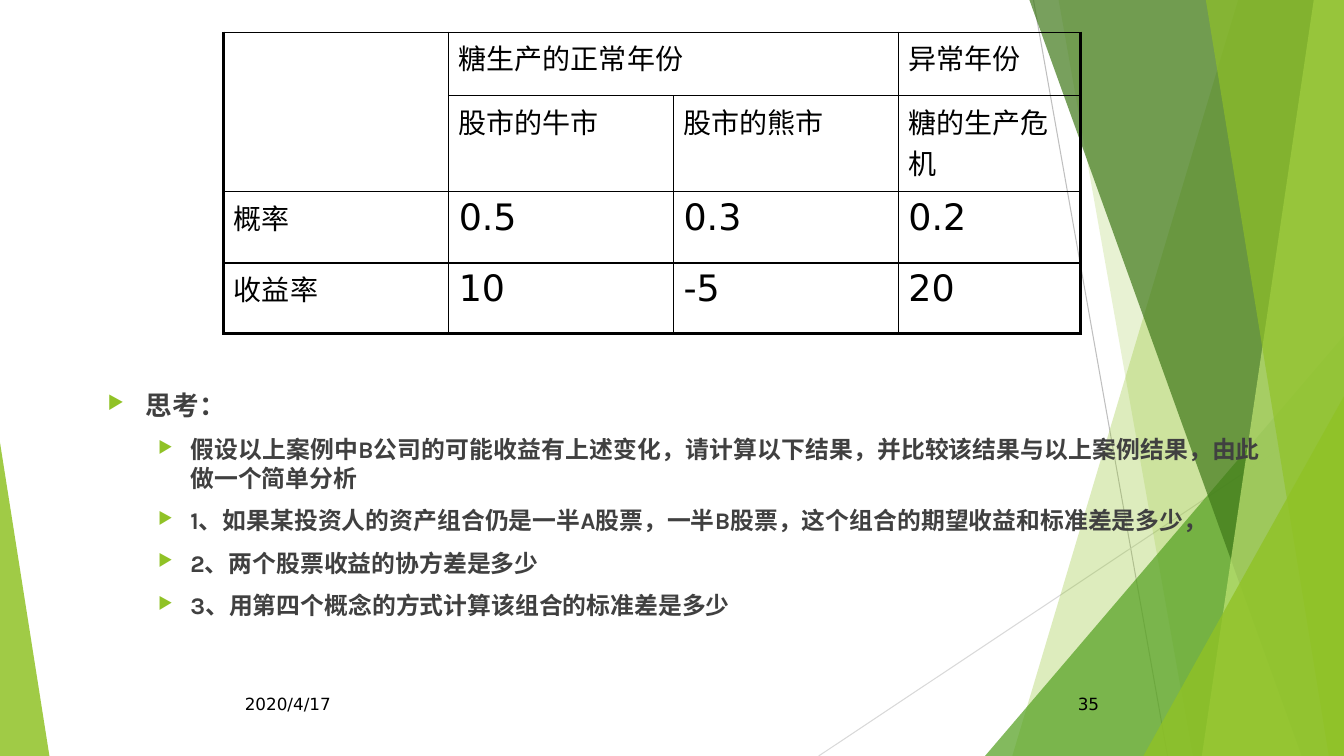
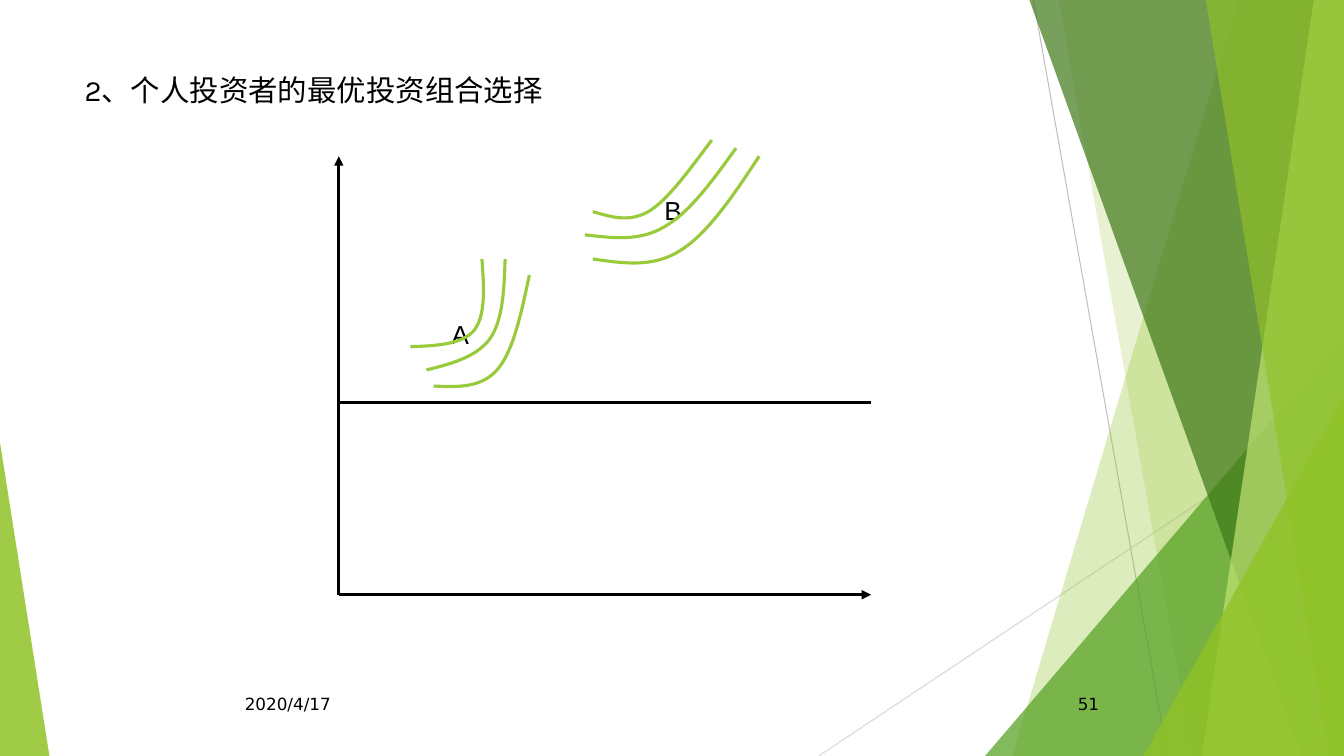
"""Build two slides on portfolio choice: a scenario table with questions, and indifference curves."""
from lxml import etree
from pptx import Presentation
from pptx import util as u
from pptx.dml.color import RGBColor
from pptx.enum import lang, shapes, text
from pptx.oxml.ns import qn

WIDTH, HEIGHT = 13.33, 7.5
COLORS = {
    "black": "000000", "body": "404040", "lime": "90C226", "green": "54A021",
    "forest": "3F7819", "pale": "C0E474", "curve": "99CA3C",
    "rule": "BFBFBF", "light_rule": "D9D9D9",
}
SANS, KARLA, ARIAL = "DejaVu Sans", "Karla", "Arial"

RULES = [((10.25, 0), (11.58, HEIGHT), "rule"), ((WIDTH, 4.03), (8.12, HEIGHT), "light_rule")]
DECOR = [
    ("band", 12.28, 10.04, "lime", 30),
    ("band", 10.5, 11.83, "lime", 20),
    ("triangle", 9.77, 3.33, 3.56, 1, "green", 72),
    ("band", 10.21, 12.91, "forest", 70),
    ("band", 13.03, 11.92, "pale", 70),
    ("band", 11.96, 13.18, "lime", 65),
    ("triangle", 11.34, 3.93, 1.99, 1, "lime", 80),
    ("triangle", 0, 4.39, 0.49, 0, "lime", 85),
]
DATE = "2020/4/17"
FOOTER_TOP, FOOTER_WIDTH, FOOTER_HEIGHT = 6.83, 2.17, 0.52

TABLE_AT = (2.22, 0.32)
COLUMNS = [2.23, 2.23, 2.23, 1.81]
ROWS = [0.63, 0.95, 0.71, 0.7]
SCENARIOS = [
    ["", "糖生产的正常年份", "", "异常年份"],
    ["", "股市的牛市", "股市的熊市", "糖的生产危机"],
    ["概率", "0.5", "0.3", "0.2"],
    ["收益率", "10", "-5", "20"],
]
MERGES = [((0, 0), (1, 0)), ((0, 1), (0, 2))]
QUESTIONS = [
    (0, "思考："),
    (1, "假设以上案例中B公司的可能收益有上述变化，请计算以下结果，并比较该结果与以上案例结果，由此做一个简单分析"),
    (1, "1、如果某投资人的资产组合仍是一半A股票，一半B股票，这个组合的期望收益和标准差是多少，"),
    (1, "2、两个股票收益的协方差是多少"),
    (1, "3、用第四个概念的方式计算该组合的标准差是多少"),
]
LEVELS = [{"size": 19, "left": 0.38, "hang": 0.38}, {"size": 17, "left": 0.82, "hang": 0.32}]

CHOICE_TITLE = "2、个人投资者的最优投资组合选择"
ORIGIN, AXIS_TOP, AXIS_RIGHT, MIDDLE = (3.36, 5.9), 1.55, 8.64, 3.99
INVESTORS = [("A", 4.38, 2.81, 0.55), ("B", 6.49, 1.58, 0.4)]
CURVES = [
    [(5.8, 2.33), (6.07, 2.36), (6.34, 2.4), (6.59, 2.25), (6.84, 2.11), (7.07, 1.79), (7.3, 1.47)],
    [(4.23, 3.67), (4.48, 3.61), (4.73, 3.54), (4.86, 3.36), (4.99, 3.17), (5, 2.87), (5.01, 2.57)],
    [(4.07, 3.44), (4.32, 3.43), (4.58, 3.42), (4.7, 3.28), (4.82, 3.13), (4.8, 2.85), (4.78, 2.57)],
    [(4.3, 3.83), (4.54, 3.84), (4.77, 3.85), (4.93, 3.67), (5.09, 3.49), (5.17, 3.11), (5.25, 2.73)],
    [(5.88, 2.1), (6.06, 2.15), (6.23, 2.21), (6.43, 2.1), (6.63, 1.98), (6.84, 1.68), (7.06, 1.39)],
    [(5.88, 2.57), (6.17, 2.61), (6.47, 2.66), (6.74, 2.49), (7.02, 2.32), (7.28, 1.93), (7.53, 1.55)],
]


def inches(*values):
    return [u.Inches(value) for value in values]


def rgb(name):
    return RGBColor.from_string(COLORS[name])


def add_xml(parent, tag, **attributes):
    return etree.SubElement(parent, qn(tag), {key: str(value) for key, value in attributes.items()})


def format_span(span, size, font, color="black", bold=False):
    span.font.size, span.font.name, span.font.bold = u.Pt(size), font, bold
    span.font.color.rgb = rgb(color)
    span.font.language_id = lang.MSO_LANGUAGE_ID.SIMPLIFIED_CHINESE


def add_text(page, words, at, size, font, align=text.PP_ALIGN.LEFT):
    box = page.shapes.add_textbox(*inches(*at))
    box.text_frame.word_wrap = True
    para = box.text_frame.paragraphs[0]
    para.text, para.alignment = words, align
    format_span(para.runs[0], size, font)
    return para.runs[0]


def add_line(page, start, end, color="black", width=2.25, arrow=False):
    line = page.shapes.add_connector(shapes.MSO_CONNECTOR.STRAIGHT, *inches(*start, *end))
    line.line.color.rgb, line.line.width = rgb(color), u.Pt(width)
    if arrow:
        add_xml(line.line._get_or_add_ln(), "a:tailEnd", type="triangle")
    add_xml(line._element.spPr, "a:effectLst")


def add_outline(page, points, close):
    points = [inches(*point) for point in points]
    builder = page.shapes.build_freeform(*points[0])
    builder.add_line_segments(points[1:], close=close)
    outline = builder.convert_to_shape()
    outline.shadow.inherit = False
    return outline


def add_decor(page, kind, *geometry, color, opacity):
    if kind == "band":
        top_x, bottom_x = geometry
        shape = add_outline(page, [(top_x, 0), (WIDTH, 0), (WIDTH, HEIGHT), (bottom_x, HEIGHT)], True)
    else:
        left, top, width, apex = geometry
        shape = page.shapes.add_shape(shapes.MSO_SHAPE.ISOSCELES_TRIANGLE,
                                      *inches(left, top, width, HEIGHT - top))
        shape.adjustments[0] = apex
        shape.shadow.inherit = False
    shape.fill.solid()
    shape.fill.fore_color.rgb = rgb(color)
    shape.line.fill.background()
    fill = shape._element.spPr.find(qn("a:solidFill"))
    add_xml(fill[0], "a:alpha", val=opacity * 1000)


def add_page(deck, number):
    page = deck.slides.add_slide(deck.slide_layouts[6])
    for start, end, color in RULES:
        add_line(page, start, end, color, 0.75)
    for kind, *geometry, color, opacity in DECOR:
        add_decor(page, kind, *geometry, color=color, opacity=opacity)
    for words, left, align in [(DATE, 2.33, text.PP_ALIGN.LEFT), (number, 8.83, text.PP_ALIGN.RIGHT)]:
        add_text(page, words, (left, FOOTER_TOP, FOOTER_WIDTH, FOOTER_HEIGHT), 12, SANS, align)
    return page


def set_borders(cell, widths):
    properties = cell._tc.get_or_add_tcPr()
    for place, (side, width) in enumerate(widths.items()):
        border = add_xml(properties, f"a:ln{side}", w=u.Pt(width))
        add_xml(add_xml(border, "a:solidFill"), "a:srgbClr", val=COLORS["black"])
        properties.insert(place, border)


def add_scenarios(page):
    table = page.shapes.add_table(len(ROWS), len(COLUMNS),
                                  *inches(*TABLE_AT, sum(COLUMNS), sum(ROWS))).table
    table.first_row = table.horz_banding = False
    for column, width in zip(table.columns, COLUMNS):
        column.width = u.Inches(width)
    for row, height in zip(table.rows, ROWS):
        row.height = u.Inches(height)
    for start, end in MERGES:
        table.cell(*start).merge(table.cell(*end))
    for i, values in enumerate(SCENARIOS):
        for j, words in enumerate(values):
            cell = table.cell(i, j)
            cell.fill.background()
            set_borders(cell, {
                "L": 2.25 if j == 0 else 1, "R": 2.25 if j == len(COLUMNS) - 1 else 1,
                "T": 1, "B": 2.25 if i == len(ROWS) - 1 else 1})
            if words:
                cell.text = words
                size = 26 if i > 1 and j > 0 else 20
                format_span(cell.text_frame.paragraphs[0].runs[0], size, SANS)


def add_questions(page):
    frame = page.shapes.add_textbox(*inches(0.97, 3.81, 11.63, 2.74)).text_frame
    frame.word_wrap = True
    for index, (level, words) in enumerate(QUESTIONS):
        para = frame.add_paragraph() if index else frame.paragraphs[0]
        para.text, para.level, para.alignment = words, level, text.PP_ALIGN.JUSTIFY
        para.space_before = u.Pt(10 if index else 0)
        style = LEVELS[level]
        properties = para._p.get_or_add_pPr()
        properties.set("marL", str(u.Inches(style["left"])))
        properties.set("indent", str(-u.Inches(style["hang"])))
        add_xml(add_xml(properties, "a:buClr"), "a:srgbClr", val=COLORS["lime"])
        add_xml(properties, "a:buSzPct", val=70000)
        add_xml(properties, "a:buChar", char="▶")
        format_span(para.runs[0], style["size"], KARLA, "body", True)


def add_curve(page, controls):
    curve = add_outline(page, controls, False)
    curve.fill.background()
    curve.line.color.rgb, curve.line.width = rgb("curve"), u.Pt(2.25)
    segments = list(curve._element.iter(qn("a:lnTo")))
    outline = segments[0].getparent()
    for first in range(0, len(segments), 3):
        bend = add_xml(outline, "a:cubicBezTo")
        for segment in segments[first:first + 3]:
            bend.append(segment[0])
            outline.remove(segment)


def add_choice(page):
    add_text(page, CHOICE_TITLE, (0.74, 0.67, 9.4, 1.44), 21, KARLA)
    left, bottom = ORIGIN
    add_line(page, ORIGIN, (left, AXIS_TOP), arrow=True)
    add_line(page, ORIGIN, (AXIS_RIGHT, bottom), arrow=True)
    add_line(page, (left, MIDDLE), (AXIS_RIGHT, MIDDLE))
    for name, x, y, width in INVESTORS:
        span = add_text(page, name, (x, y, width, 0.46), 32, ARIAL)
        span._r.get_or_add_rPr().set("baseline", "-25000")
    for controls in CURVES:
        add_curve(page, controls)


def main():
    deck = Presentation()
    deck.slide_width, deck.slide_height = inches(WIDTH, HEIGHT)
    page = add_page(deck, "35")
    add_questions(page)
    add_scenarios(page)
    add_choice(add_page(deck, "51"))
    deck.save("out.pptx")


if __name__ == "__main__":
    main()
